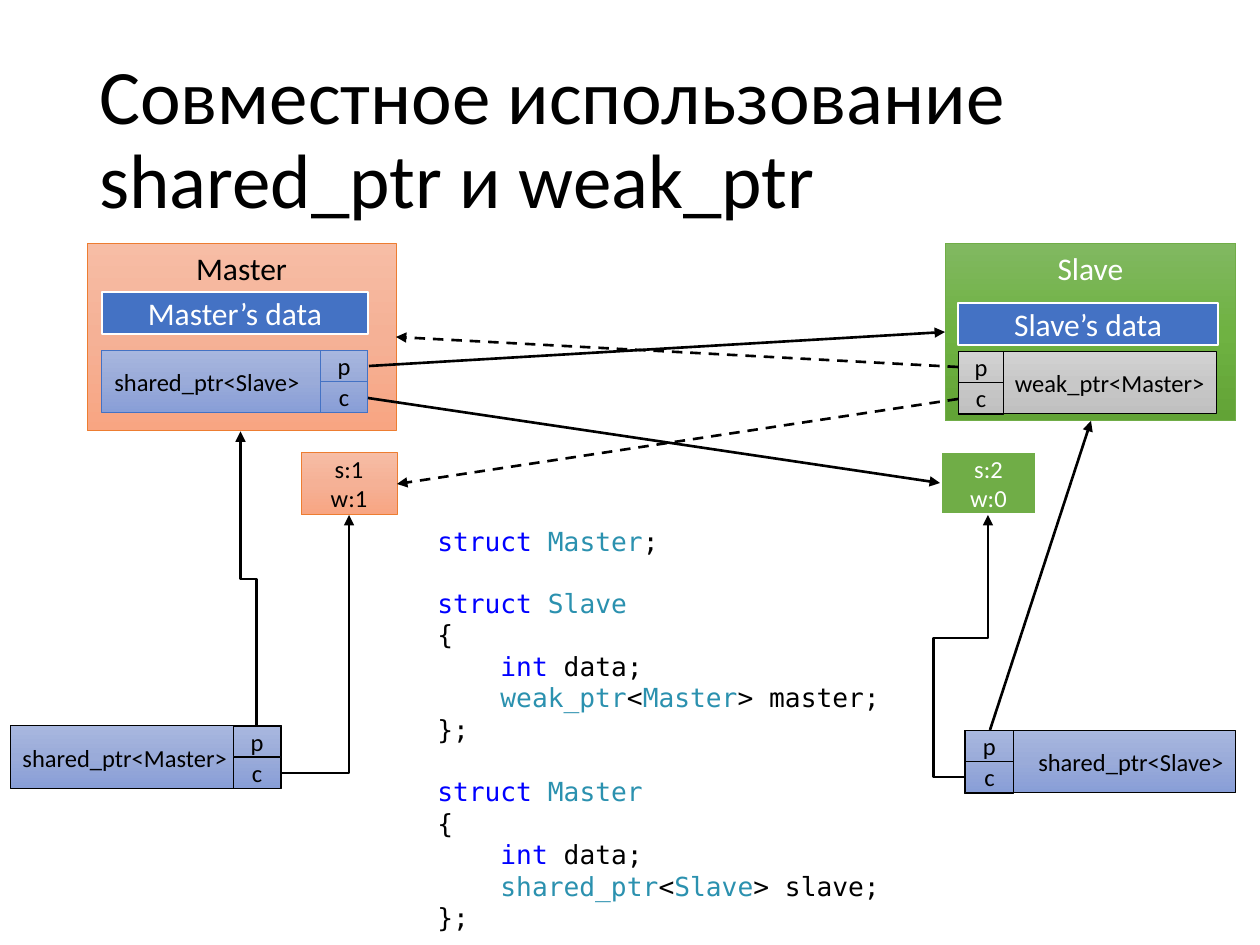
from copy import deepcopy
from lxml.etree import SubElement
from pptx import Presentation
from pptx.dml.color import RGBColor
from pptx.enum.dml import MSO_LINE
from pptx.enum.shapes import MSO_CONNECTOR, MSO_SHAPE
from pptx.enum.text import MSO_ANCHOR, MSO_AUTO_SIZE, PP_ALIGN
from pptx.oxml.ns import qn
from pptx.util import Emu, Pt

SCALE = 914400 / 126  # EMU per px
BLACK = RGBColor(0x00, 0x00, 0x00)
WHITE = RGBColor(0xFF, 0xFF, 0xFF)
BLUE = RGBColor(0x44, 0x72, 0xC4)
ORANGE = RGBColor(0xED, 0x7D, 0x31)
GREEN = RGBColor(0x70, 0xAD, 0x47)
KEYWORD = RGBColor(0x00, 0x00, 0xFF)
TYPE = RGBColor(0x2B, 0x91, 0xAF)
ORANGE_FADE = [RGBColor(0xF7, 0xBD, 0xA5), RGBColor(0xF5, 0xB1, 0x96), RGBColor(0xF8, 0xA5, 0x82)]
BLUE_FADE = [RGBColor(0xA8, 0xB7, 0xDF), RGBColor(0x9A, 0xAB, 0xD9), RGBColor(0x88, 0x9E, 0xD7)]
GREEN_FADE = [RGBColor(0x81, 0xB8, 0x61), RGBColor(0x6F, 0xB2, 0x42), RGBColor(0x62, 0xA3, 0x36)]
GRAY_FADE = [RGBColor(0xD2, 0xD2, 0xD2), RGBColor(0xC8, 0xC8, 0xC8), RGBColor(0xC0, 0xC0, 0xC0)]
LEFT, CENTER, RIGHT = PP_ALIGN.LEFT, PP_ALIGN.CENTER, PP_ALIGN.RIGHT


def add_box(place, lines, size, fill, outline, width=0.5, color=BLACK,
            align=CENTER, anchor=MSO_ANCHOR.MIDDLE):
    """Rectangle with text; fill is None, one colour or three gradient colours."""
    box = page.shapes.add_shape(MSO_SHAPE.RECTANGLE, *[Emu(round(v * SCALE)) for v in place])
    box.shadow.inherit = False
    if fill is None:
        box.fill.background()
    elif isinstance(fill, RGBColor):
        box.fill.solid()
        box.fill.fore_color.rgb = fill
    else:
        box.fill.gradient()
        box.fill.gradient_angle = 270
        stop_list = box._element.spPr.find(".//" + qn("a:gsLst"))
        stop_list.insert(1, deepcopy(stop_list[0]))
        for stop, position, shade in zip(box.fill.gradient_stops, (0, 0.5, 1), fill):
            stop.position = position
            stop.color.rgb = shade
    box.line.color.rgb = outline
    box.line.width = Pt(width)
    frame = box.text_frame
    frame.word_wrap = True
    frame.vertical_anchor = anchor
    for index, line in enumerate(lines):
        para = frame.add_paragraph() if index else frame.paragraphs[0]
        para.alignment = align
        span = para.add_run()
        span.text = line
        span.font.name = "Calibri"
        span.font.size = Pt(size)
        span.font.color.rgb = color


def add_arrow(kind, ends, dashed=False):
    arrow = page.shapes.add_connector(kind, *[Emu(round(v * SCALE)) for v in ends])
    arrow.line.color.rgb = BLACK
    arrow.line.width = Pt(1.5)
    if dashed:
        arrow.line.dash_style = MSO_LINE.DASH
    SubElement(arrow.line._get_or_add_ln(), qn("a:tailEnd"), type="triangle")
    SubElement(arrow._element.spPr, qn("a:effectLst"))
    return arrow


deck = Presentation()
deck.slide_width = Emu(round(1260 * SCALE))
deck.slide_height = Emu(round(945 * SCALE))
page = deck.slides.add_slide(deck.slide_layouts[6])

# Title
title = page.shapes.add_textbox(*[Emu(round(v * SCALE)) for v in (87, 50, 1086, 183)])
title.text_frame.word_wrap = True
title.text_frame.vertical_anchor = MSO_ANCHOR.MIDDLE
para = title.text_frame.paragraphs[0]
para.line_spacing = 0.9
span = para.add_run()
span.text = "Совместное использование shared_ptr и weak_ptr"
span.font.name = "Calibri"
span.font.size = Pt(44)
span.font.color.rgb = BLACK

# Objects with their data
add_box((87, 243, 309, 188), ["Master"], 18, ORANGE_FADE, ORANGE, anchor=MSO_ANCHOR.TOP)
add_box((102, 292, 266, 42), ["Master’s data"], 18, BLUE, WHITE, 1.5, WHITE)
add_box((945, 243, 291, 178), ["Slave"], 18, GREEN_FADE, GREEN, color=WHITE,
        anchor=MSO_ANCHOR.TOP)
add_box((958, 303, 260, 42), ["Slave’s data"], 18, BLUE, WHITE, 1.5, WHITE)

# Smart pointers, each with a p cell above a c cell
pointers = [
    ((102, 350, 266, 63), "shared_ptr<Slave>", BLUE_FADE, BLUE, LEFT, 320, 48),
    ((10, 726, 271, 63), "shared_ptr<Master>", BLUE_FADE, BLACK, LEFT, 233, 48),
    ((958, 351, 259, 63), "weak_ptr<Master>", GRAY_FADE, BLACK, RIGHT, 958, 46),
    ((965, 730, 271, 63), "shared_ptr<Slave>", BLUE_FADE, BLACK, RIGHT, 965, 49),
]
for place, name, fade, outline, align, cell_left, cell_width in pointers:
    add_box(place, [name], 14, fade, outline, align=align)
    for row, label in enumerate("pc"):
        add_box((cell_left, place[1] + row * 31, cell_width, 31 + row), [label], 14, None, outline)

# Control blocks
add_box((301, 452, 96, 63), ["s:1", "w:1"], 14, ORANGE_FADE, ORANGE)
add_box((941, 452, 95, 62), ["s:2", "w:0"], 14, GREEN, WHITE, 1.5, WHITE)

# Straight arrows
for ends, dashed in [
    ((369, 366, 945, 332), False),
    ((368, 398, 940, 483), False),
    ((958, 367, 396, 337), True),
    ((958, 399, 397, 484), True),
    ((990, 730, 1091, 421), False),
]:
    add_arrow(MSO_CONNECTOR.STRAIGHT, ends, dashed)

# Elbow arrows: ends before turning, preset, turn in degrees, adjustments
for ends, preset, turn, adjustments in [
    ((101, 587, 396, 571), "bentConnector3", 270, []),
    ((988, 515, 965, 777), "bentConnector4", 180, [-135800, 53000]),
    ((281, 773, 349, 515), "bentConnector2", 0, []),
]:
    properties = add_arrow(MSO_CONNECTOR.ELBOW, ends)._element.spPr
    properties.find(qn("a:xfrm")).set("rot", str(turn * 60000))
    geometry = properties.find(qn("a:prstGeom"))
    geometry.set("prst", preset)
    for number, value in enumerate(adjustments, 1):
        SubElement(geometry.find(qn("a:avLst")), qn("a:gd"), name=f"adj{number}", fmla=f"val {value}")

# Code listing
code = [
    [("struct ", KEYWORD), ("Master", TYPE), (";", BLACK)],
    [("struct ", KEYWORD), ("Slave", TYPE)],
    [("{", BLACK)],
    [("    int", KEYWORD), (" data;", BLACK)],
    [("    weak_ptr", TYPE), ("<", BLACK), ("Master", TYPE), ("> master;", BLACK)],
    [("};", BLACK)],
    [("struct ", KEYWORD), ("Master", TYPE)],
    [("{", BLACK)],
    [("    int", KEYWORD), (" data;", BLACK)],
    [("    shared_ptr", TYPE), ("<", BLACK), ("Slave", TYPE), ("> slave;", BLACK)],
    [("};", BLACK)],
]
listing = page.shapes.add_textbox(*[Emu(round(v * SCALE)) for v in (425, 519, 493, 426)])
frame = listing.text_frame
frame.word_wrap = True
frame.auto_size = MSO_AUTO_SIZE.SHAPE_TO_FIT_TEXT
for index, spans in enumerate(code):
    para = frame.add_paragraph() if index else frame.paragraphs[0]
    if index and spans[0][0] == "struct ":
        para.space_before = Pt(17.5)
    for text, color in spans:
        span = para.add_run()
        span.text = text
        span.font.name = "DejaVu Sans Mono"
        span.font.size = Pt(15)
        span.font.color.rgb = color
para.space_after = Pt(8)

deck.save("out.pptx")
